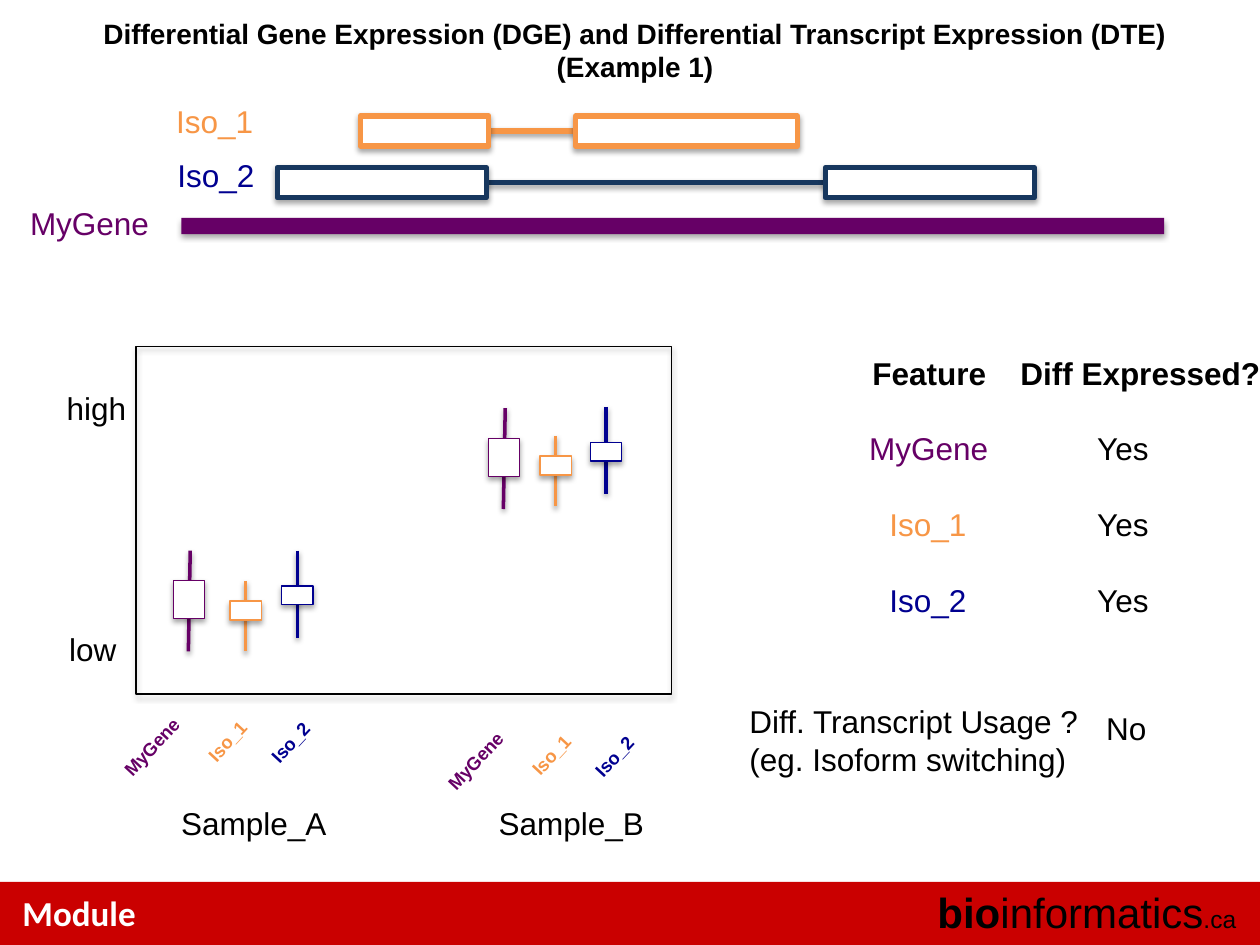
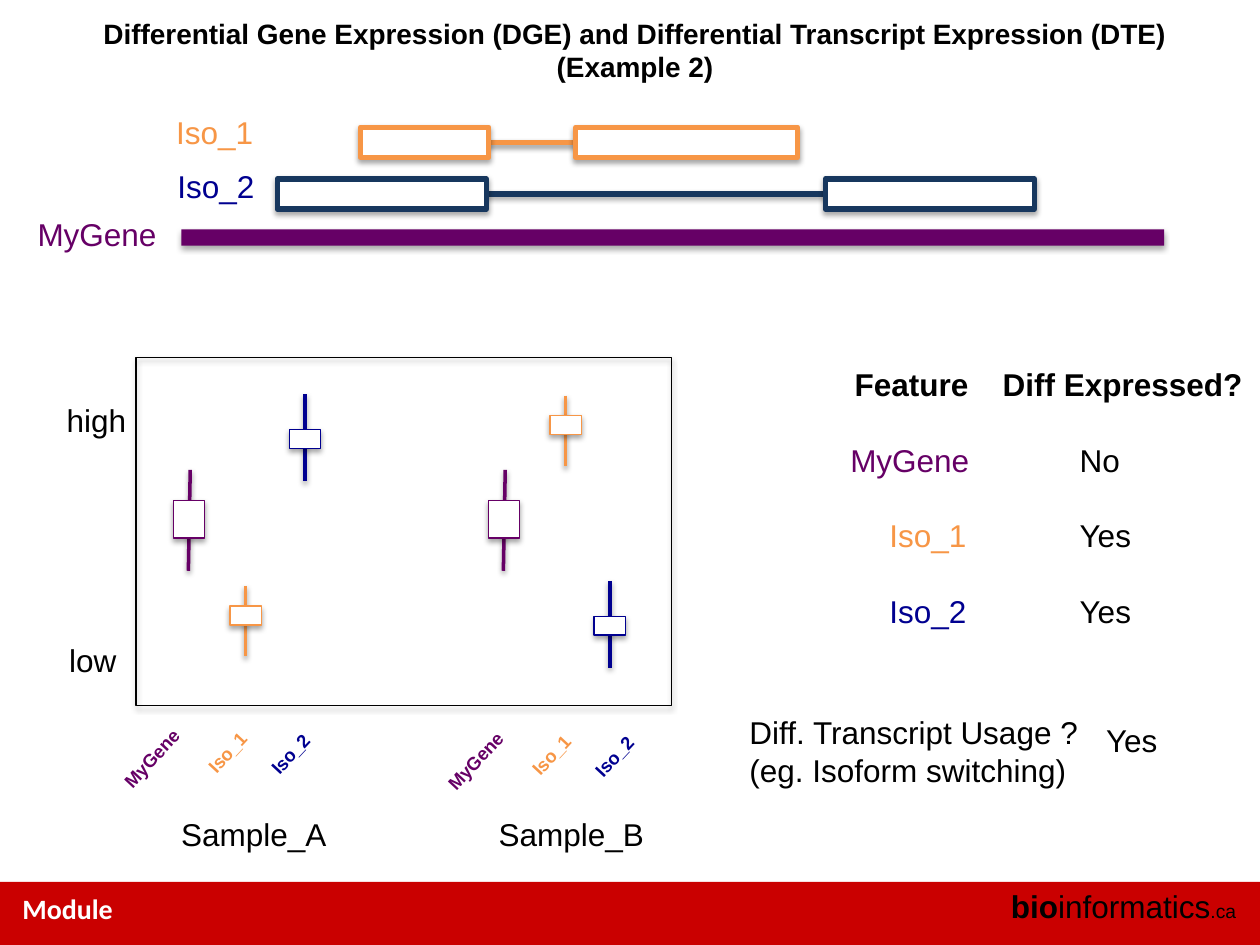
from dataclasses import dataclass

from lxml.etree import SubElement
from pptx import Presentation
from pptx.dml.color import RGBColor
from pptx.enum.shapes import MSO_CONNECTOR, MSO_SHAPE
from pptx.enum.text import MSO_AUTO_SIZE, PP_ALIGN
from pptx.oxml.ns import qn
from pptx.util import Inches, Pt

# The slide is a grid of square cells, 10 columns by 7.5 rows.
COLUMNS, ROWS = 10, 7.5
CELL = Inches(10) / COLUMNS

BLACK, WHITE, RED = "000000", "FFFFFF", "CA0000"
PURPLE, ORANGE, BLUE, NAVY = "660066", "F79646", "000090", "17375E"
BODY_FONT, MODULE_FONT = "Arial", "Calibri"

BODY_SIZE, TITLE_SIZE, TICK_SIZE = 18, 16, 10.5
LINE_HEIGHT = 0.4
TICK_ROTATION = 312.9
SAMPLE_STEP = 2.57
TABLE_ROW = 0.6
BOX_WIDTH = 0.25
EXON_HEIGHT = 0.24


@dataclass
class Feature:
    """A gene or isoform, with the proportions of its box plot and its labels."""
    name: str
    colour: str
    whisker: float
    box_offset: float
    box_height: float
    slant: float
    label_width: float
    tick_width: float
    tick_left: float
    tick_top: float


FEATURES = [
    Feature("MyGene", PURPLE, 0.8, 0.24, 0.3, 0.01, 1.16, 0.81, 0.82, 5.77),
    Feature("Iso_1", ORANGE, 0.56, 0.16, 0.15, 0, 0.82, 0.6, 1.52, 5.73),
    Feature("Iso_2", BLUE, 0.69, 0.28, 0.15, 0, 0.82, 0.6, 2.02, 5.74),
]


@dataclass
class Example:
    """What differs between slides; plots holds (centre, top) per feature and sample."""
    number: int
    drop: float
    gene_label_left: float
    tick_drop: float
    plots: list
    name_centres: list
    answer_left: float
    answers: list
    usage: str
    module_size: float
    site_size: float
    suffix_size: float


EXAMPLES = [
    Example(1, 0, 0.14, 0.11,
            [[(1.5, 4.37), (4.0, 3.24)],
             [(1.95, 4.61), (4.41, 3.46)],
             [(2.36, 4.37), (4.81, 3.23)]],
            [7.38, 7.38, 7.37, 7.37], 8.0, ["Yes", "Yes", "Yes"], "No", 20, 24, 14),
    Example(2, 0.09, 0.2, 0.02,
            [[(1.5, 3.73), (4.0, 3.73)],
             [(1.95, 4.65), (4.49, 3.14)],
             [(2.42, 3.13), (4.84, 4.61)]],
            [7.24, 7.23, 7.37, 7.37], 7.86, ["No", "Yes", "Yes"], "Yes", 16, 18, 11),
]


def cells(*lengths):
    return [round(length * CELL) for length in lengths]


def rgb(colour):
    return RGBColor.from_string(colour)


def add_shadow(shape, opacity, distance):
    """Give a shape or connector a soft black shadow that falls straight down."""
    properties = shape._element.spPr
    effects = properties.find(qn("a:effectLst"))
    if effects is None:
        effects = SubElement(properties, qn("a:effectLst"))
    shadow = SubElement(effects, qn("a:outerShdw"), blurRad=str(Pt(3.1)),
                        dist=str(Pt(distance)), dir="5400000", rotWithShape="0")
    black = SubElement(shadow, qn("a:srgbClr"), val=BLACK)
    SubElement(black, qn("a:alpha"), val=str(opacity * 1000))


def add_box(slide, left, top, width, height, fill=None, line=None, weight=0.75,
            shadow=True):
    shape = slide.shapes.add_shape(MSO_SHAPE.RECTANGLE, *cells(left, top, width, height))
    shape.shadow.inherit = False
    if fill:
        shape.fill.solid()
        shape.fill.fore_color.rgb = rgb(fill)
    else:
        shape.fill.background()
    if line:
        shape.line.color.rgb = rgb(line)
        shape.line.width = Pt(weight)
    else:
        shape.line.fill.background()
    if shadow:
        add_shadow(shape, 35, 1.8)


def add_line(slide, start, end, colour, weight):
    line = slide.shapes.add_connector(MSO_CONNECTOR.STRAIGHT, *cells(*start, *end))
    line.line.color.rgb = rgb(colour)
    line.line.width = Pt(weight)
    add_shadow(line, 38, 1.6)


def style(font, size, colour, bold, name=BODY_FONT):
    font.name = name
    font.size = Pt(size)
    font.bold = bold
    font.color.rgb = rgb(colour)


def add_text(slide, left, top, width, lines, colour=BLACK, size=BODY_SIZE, bold=False,
             align=PP_ALIGN.LEFT, font=BODY_FONT, height=LINE_HEIGHT, rotation=0,
             wrap=False):
    box = slide.shapes.add_textbox(*cells(left, top, width, height))
    box.rotation = rotation
    frame = box.text_frame
    frame.word_wrap = wrap
    frame.auto_size = MSO_AUTO_SIZE.SHAPE_TO_FIT_TEXT
    frame.text = lines
    for paragraph in frame.paragraphs:
        paragraph.alignment = align
        style(paragraph.font, size, colour, bold, font)
    return frame


def add_title(slide, example):
    add_text(slide, 0.67, 0.08, 8.74,
             "Differential Gene Expression (DGE) and Differential Transcript "
             f"Expression (DTE)\n(Example {example.number})",
             size=TITLE_SIZE, bold=True, align=PP_ALIGN.CENTER, height=0.64)


def add_transcript(slide, top, colour, intron, exons):
    middle = top + EXON_HEIGHT / 2
    add_line(slide, (intron[0], middle), (intron[1], middle), colour, 3)
    for left, width in exons:
        add_box(slide, left, top, width, EXON_HEIGHT, WHITE, colour, 3)


def add_gene_model(slide, example):
    drop = example.drop
    gene, *isoforms = FEATURES
    add_box(slide, 1.44, 1.73 + drop, 7.8, 0.13, PURPLE)
    add_transcript(slide, 1.33 + drop, NAVY, (3.5, 7.59), [(2.2, 1.66), (6.55, 1.66)])
    add_transcript(slide, 0.92 + drop, ORANGE, (3.13, 5.83), [(2.86, 1.02), (4.57, 1.76)])
    places = [(example.gene_label_left, 1.57), (1.3, 0.76), (1.31, 1.19)]
    for feature, (left, top) in zip([gene, *isoforms], places):
        add_text(slide, left, top + drop, feature.label_width, feature.name, feature.colour)


def add_box_plot(slide, feature, centre, top):
    add_line(slide, (centre + feature.slant, top),
             (centre - feature.slant / 2, top + feature.whisker), feature.colour, 2)
    add_box(slide, centre - BOX_WIDTH / 2, top + feature.box_offset, BOX_WIDTH,
            feature.box_height, WHITE, feature.colour)


def add_expression_plot(slide, example):
    drop = example.drop
    add_box(slide, 1.08, 2.75 + drop, 4.25, 2.76, line=BLACK)
    for left, top, width, label in [(0.43, 3.04, 0.68, "high"), (0.45, 4.95, 0.59, "low"),
                                    (1.34, 6.33, 1.37, "Sample_A"),
                                    (3.86, 6.33, 1.37, "Sample_B")]:
        add_text(slide, left, top + drop, width, label)
    for feature, plots in zip(FEATURES, example.plots):
        for sample, (centre, top) in enumerate(plots):
            add_box_plot(slide, feature, centre, top)
            add_text(slide, feature.tick_left + sample * SAMPLE_STEP,
                     feature.tick_top + drop + sample * example.tick_drop,
                     feature.tick_width, feature.name, feature.colour, TICK_SIZE, True,
                     height=0.29, rotation=TICK_ROTATION)


def answer_width(answer):
    return 0.52 if answer == "No" else 0.61


def add_answers(slide, example):
    """List each feature beside its answer, then the transcript usage question."""
    top = 2.76 + example.drop
    names = [("Feature", BLACK, 1.11)]
    names += [(feature.name, feature.colour, feature.label_width) for feature in FEATURES]
    for row, (name, colour, width) in enumerate(names):
        add_text(slide, example.name_centres[row] - width / 2, top + row * TABLE_ROW, width,
                 name, colour, bold=row == 0)
    add_text(slide, example.answer_left, top, 2.12, "Diff Expressed?", bold=True)
    for row, answer in enumerate(example.answers, 1):
        add_text(slide, example.answer_left + 0.61, top + row * TABLE_ROW,
                 answer_width(answer), answer)
    add_text(slide, 5.85, 5.52 + example.drop, 2.83,
             "Diff. Transcript Usage ?\n(eg. Isoform switching)", height=0.71)
    add_text(slide, 8.68, 5.58 + example.drop, answer_width(example.usage), example.usage)


def add_footer(slide, example):
    add_box(slide, 0, ROWS - 0.5, COLUMNS, 0.5, RED, shadow=False)
    add_text(slide, 0.08, 7.03, 7.33, "Module", WHITE, example.module_size, True,
             font=MODULE_FONT, wrap=True)
    site = add_text(slide, 7.33, 6.99, 2.58, "", align=PP_ALIGN.RIGHT, wrap=True)
    for text, size, bold in [("bio", example.site_size, True),
                             ("informatics", example.site_size, False),
                             (".ca", example.suffix_size, False)]:
        run = site.paragraphs[0].add_run()
        run.text = text
        style(run.font, size, BLACK, bold)


def main():
    presentation = Presentation()
    presentation.slide_width, presentation.slide_height = cells(COLUMNS, ROWS)
    blank = presentation.slide_layouts[6]
    for example in EXAMPLES:
        slide = presentation.slides.add_slide(blank)
        for add_part in (add_title, add_gene_model, add_expression_plot, add_answers,
                         add_footer):
            add_part(slide, example)
    presentation.save("out.pptx")


if __name__ == "__main__":
    main()
